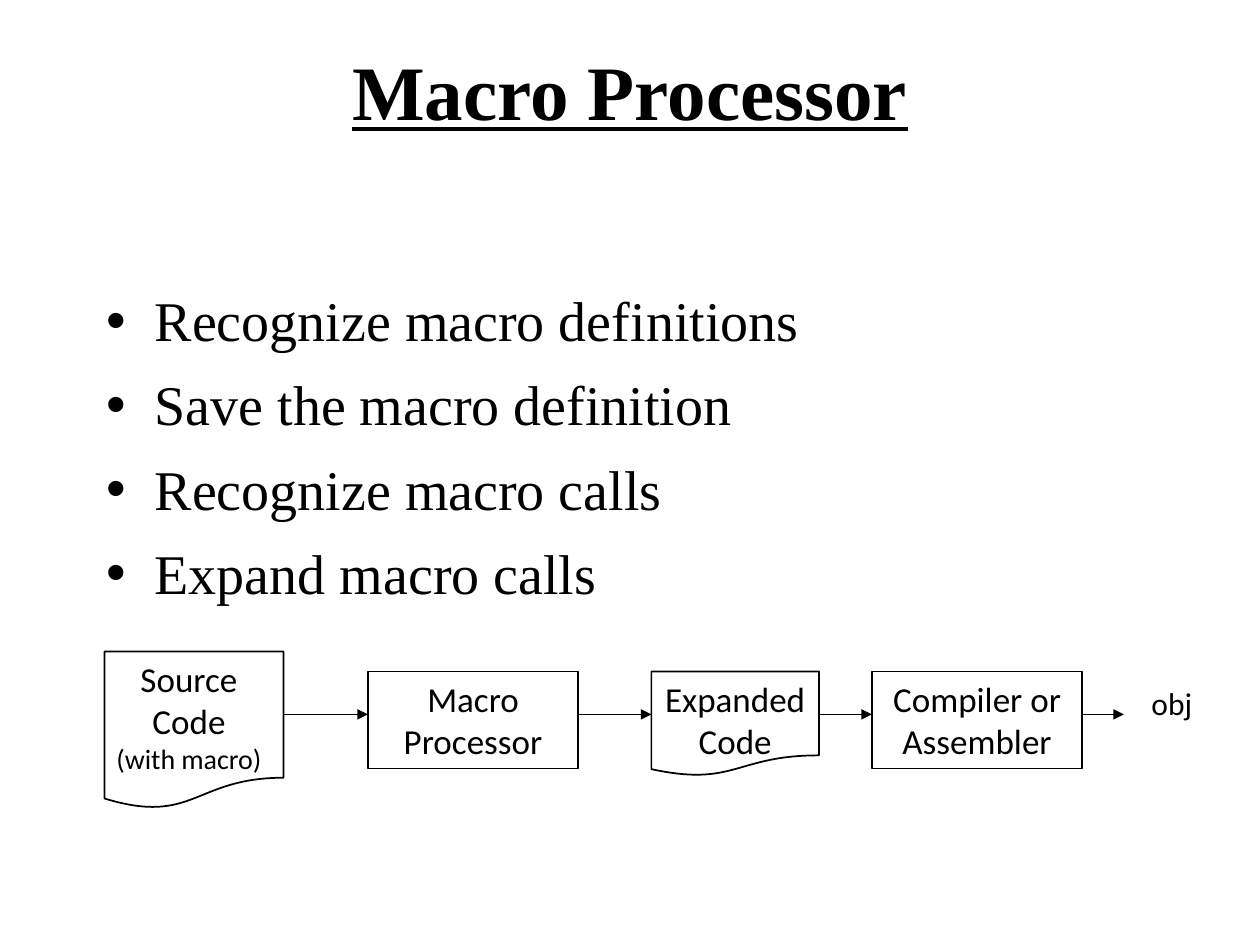
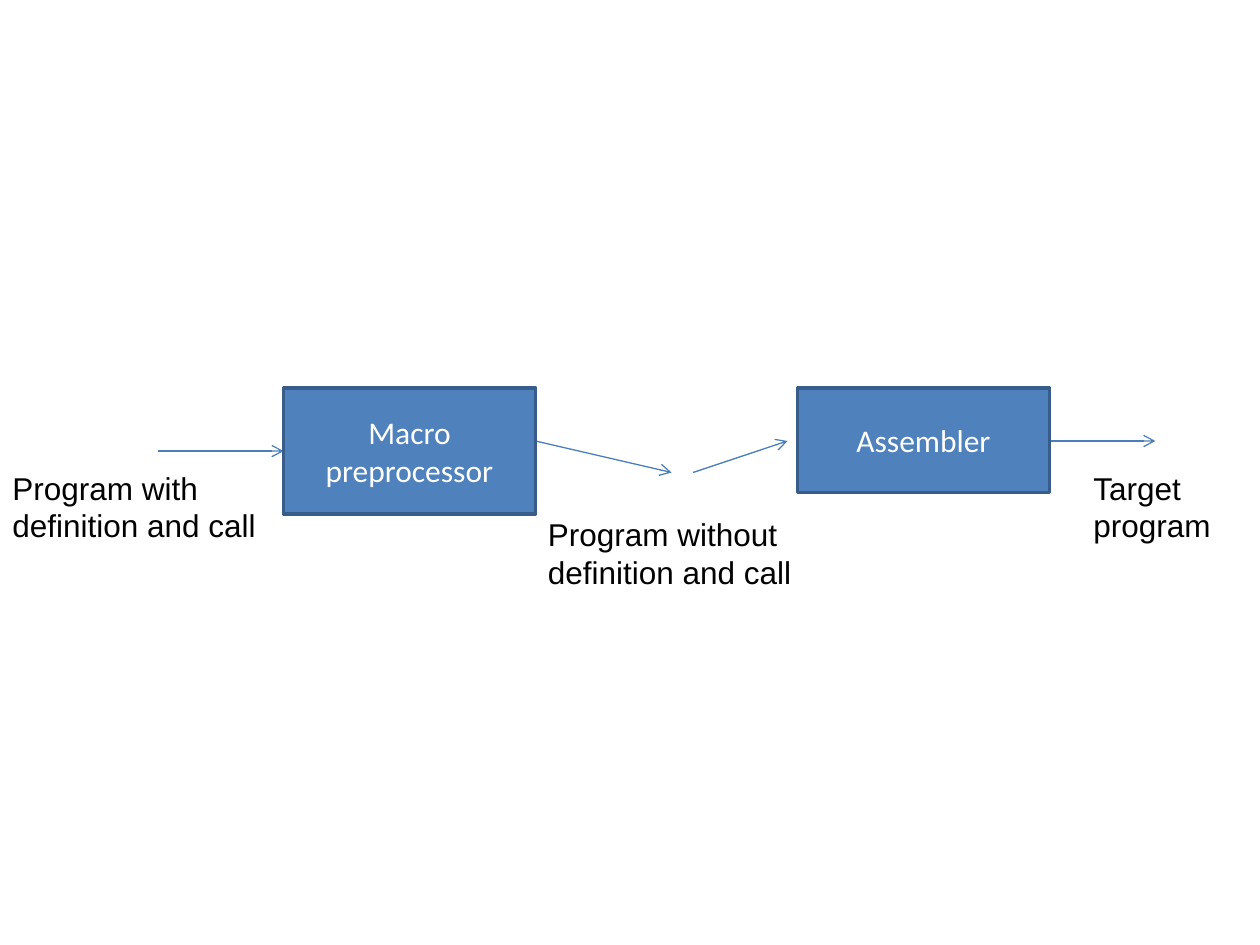
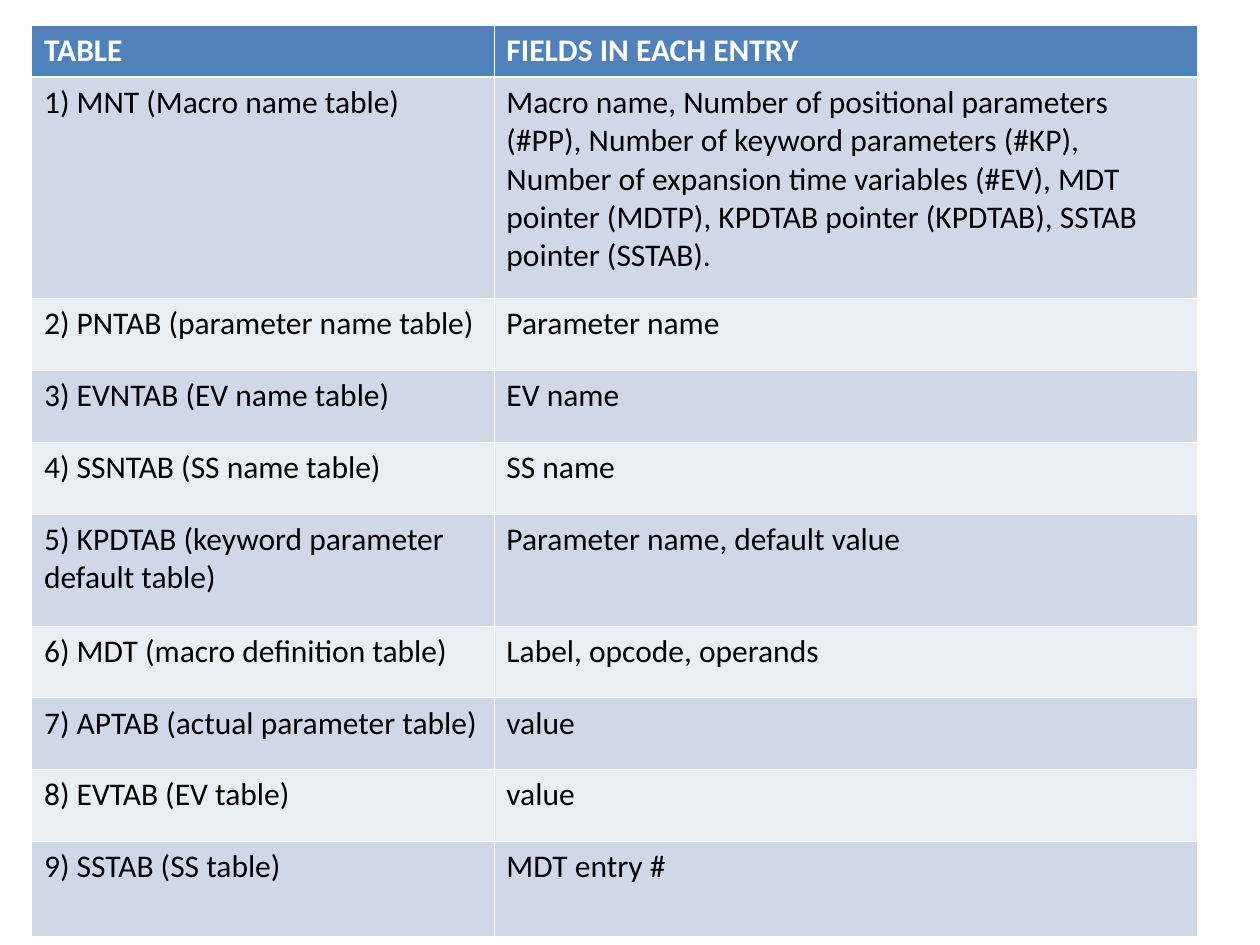
from pptx import Presentation, util as u
from pptx.dml.color import RGBColor
from pptx.enum import shapes, text
from pptx.oxml import ns, xmlchemy

BLACK = RGBColor(0x00, 0x00, 0x00)
WHITE = RGBColor(0xFF, 0xFF, 0xFF)
BLUE = RGBColor(0x4F, 0x81, 0xBD)
BLUE_EDGE = RGBColor(0x38, 0x5D, 0x8A)
BLUE_LINE = RGBColor(0x4A, 0x7E, 0xBB)
BANDS = (RGBColor(0xD0, 0xD8, 0xE8), RGBColor(0xE9, 0xED, 0xF4))
SERIF, SANS, BODY = "Times New Roman", "Arial", "Calibri"
RECT = shapes.MSO_SHAPE.RECTANGLE
DOCUMENT = shapes.MSO_SHAPE.FLOWCHART_DOCUMENT


def add_xml(parent, tag, **attributes):
    element = xmlchemy.OxmlElement(tag)
    for name, value in attributes.items():
        element.set(name, str(value))
    parent.append(element)
    return element


def write(frame, lines, size=18, font=BODY, color=BLACK, bold=False, underline=False,
          center=False, bullet=False, space=0):
    """Fill a text frame; a line is a string or a (string, size) pair."""
    for index, line in enumerate(lines if isinstance(lines, list) else [lines]):
        wording, points = line if isinstance(line, tuple) else (line, size)
        para = frame.add_paragraph() if index else frame.paragraphs[0]
        if bullet:
            props = para._p.get_or_add_pPr()
            props.set("marL", str(u.Inches(0.38)))
            props.set("indent", str(u.Inches(-0.38)))
            add_xml(props, "a:buFont", typeface=SANS)
            add_xml(props, "a:buChar", char="•")
        para.alignment = text.PP_ALIGN.CENTER if center else text.PP_ALIGN.LEFT
        if index:
            para.space_before = u.Pt(space)
        span = para.add_run()
        span.text = wording
        span.font.size = u.Pt(points)
        span.font.name = font
        span.font.color.rgb = color
        span.font.bold = bold
        span.font.underline = underline


class Deck:
    def __init__(self):
        self.show = Presentation()
        self.show.slide_width, self.show.slide_height = u.Inches(10), u.Inches(7.5)
        self.page = None

    def new_page(self):
        self.page = self.show.slides.add_slide(self.show.slide_layouts[6])

    def label(self, place, lines, wrap=True, **style):
        box = self.page.shapes.add_textbox(*map(u.Inches, place))
        box.text_frame.word_wrap = wrap
        write(box.text_frame, lines, **style)

    def title(self, wording):
        self.label((0.75, 0.3, 8.5, 1.25), wording, size=44, font=SERIF,
                   bold=True, underline=True, center=True)

    def shape(self, kind, place, wording=None, fill=None, edge=BLACK, width=1,
              anchor=text.MSO_ANCHOR.TOP, **style):
        box = self.page.shapes.add_shape(kind, *map(u.Inches, place))
        box.shadow.inherit = False
        if fill is None:
            box.fill.background()
        else:
            box.fill.solid()
            box.fill.fore_color.rgb = fill
        box.line.color.rgb = edge
        box.line.width = u.Pt(width)
        if wording:
            box.text_frame.word_wrap = True
            box.text_frame.vertical_anchor = anchor
            write(box.text_frame, wording, center=True, **style)

    def arrow(self, start, end, color=BLACK, width=1, head="triangle"):
        line = self.page.shapes.add_connector(
            shapes.MSO_CONNECTOR.STRAIGHT, *map(u.Inches, (*start, *end)))
        line.line.color.rgb = color
        line.line.width = u.Pt(width)
        add_xml(line.line._get_or_add_ln(), "a:tailEnd", type=head)
        add_xml(line._element.spPr, "a:effectLst")

    def table(self, left, top, widths, heights, rows):
        frame = self.page.shapes.add_table(
            len(rows), len(widths), *map(u.Inches, (left, top, sum(widths), sum(heights))))
        grid = frame.table
        grid.horz_banding = False
        for column, width in zip(grid.columns, widths):
            column.width = u.Inches(width)
        for index, (height, row) in enumerate(zip(heights, rows)):
            grid.rows[index].height = u.Inches(height)
            header = index == 0
            for cell, wording in zip(grid.rows[index].cells, row):
                self.borders(cell, thick={0: "B", 1: "T"}.get(index))
                cell.fill.solid()
                cell.fill.fore_color.rgb = BLUE if header else BANDS[(index - 1) % 2]
                write(cell.text_frame, wording, bold=header,
                      color=WHITE if header else BLACK)

    @staticmethod
    def borders(cell, thick):
        props = cell._tc.get_or_add_tcPr()
        for side in "LRTB":
            width = u.Pt(1.47 if side == thick else 0.45)
            edge = add_xml(props, ns.NamespacePrefixedTag("a:ln" + side), w=width)
            add_xml(add_xml(edge, "a:solidFill"), "a:srgbClr", val=WHITE)


def macro_processor(deck):
    deck.new_page()
    deck.title("Macro Processor")
    deck.label((0.75, 2.22, 8.5, 4.45),
               ["Recognize macro definitions", "Save the macro definition",
                "Recognize macro calls", "Expand macro calls"],
               size=32, font=SERIF, bullet=True, space=9.6)

    # Flow from source code to object code
    deck.label((0.75, 5.17, 1.5, 1.04), ["Source Code", ("(with macro)", 16)],
               size=20, center=True)
    deck.label((5.17, 5.33, 1.33, 0.77), "Expanded Code", size=20, center=True)
    stages = [
        (DOCUMENT, (0.83, 5.17, 1.42, 1.25), None),
        (RECT, (2.92, 5.33, 1.67, 0.77), "Macro Processor"),
        (DOCUMENT, (5.17, 5.33, 1.33, 0.83), None),
        (RECT, (6.92, 5.33, 1.67, 0.77), "Compiler or Assembler"),
    ]
    for kind, place, wording in stages:
        deck.shape(kind, place, wording, size=20)
    ends = [place[0] for _, place, _ in stages[1:]] + [8.92]
    for (_, place, _), end in zip(stages, ends):
        deck.arrow((place[0] + place[2], 5.67), (end, 5.67))
    deck.label((9.04, 5.38, 0.52, 0.4), "obj", wrap=False)


def preprocessing_flow(deck):
    deck.new_page()
    for start, end in [((1.25, 3.58), (2.25, 3.58)), ((4.25, 3.5), (5.33, 3.75)),
                       ((5.5, 3.75), (6.25, 3.5)), ((8.25, 3.5), (9.17, 3.5))]:
        deck.arrow(start, end, color=BLUE_LINE, width=0.75, head="arrow")
    for left, height, wording in [(2.25, 1, "Macro preprocessor"), (6.33, 0.83, "Assembler")]:
        deck.shape(RECT, (left, 3.08, 2, height), wording, fill=BLUE, edge=BLUE_EDGE,
                   width=2, anchor=text.MSO_ANCHOR.MIDDLE, color=WHITE)
    for left, top, width, wording in [
            (0, 3.67, 2.17, "Program with definition and call"),
            (4.25, 4.04, 2.33, "Program without definition and call"),
            (8.58, 3.67, 1.25, "Target program")]:
        deck.label((left, top, width, 0.7), wording, font=SANS)


def table_fields(deck):
    deck.new_page()
    rows = [
        ("TABLE", "FIELDS IN EACH ENTRY"),
        ("1) MNT (Macro name table)",
         "Macro name, Number of positional parameters (#PP), Number of keyword "
         "parameters (#KP), Number of expansion time variables (#EV), MDT pointer "
         "(MDTP), KPDTAB pointer (KPDTAB), SSTAB pointer (SSTAB)."),
        ("2) PNTAB (parameter name table)", "Parameter name"),
        ("3) EVNTAB (EV name table)", "EV name"),
        ("4) SSNTAB (SS name table)", "SS name"),
        ("5) KPDTAB (keyword parameter default table)", "Parameter name, default value"),
        ("6) MDT (macro definition table)", "Label, opcode, operands"),
        ("7) APTAB (actual parameter table)", "value"),
        ("8) EVTAB (EV table)", "value"),
        ("9) SSTAB (SS table)", "MDT entry #"),
    ]
    heights = [0.41, 1.76] + [0.57] * 3 + [0.89] + [0.57] * 3 + [0.75]
    deck.table(0.25, 0.2, (3.67, 5.58), heights, rows)


def main():
    deck = Deck()
    macro_processor(deck)
    preprocessing_flow(deck)
    table_fields(deck)
    deck.show.save("out.pptx")


if __name__ == "__main__":
    main()
